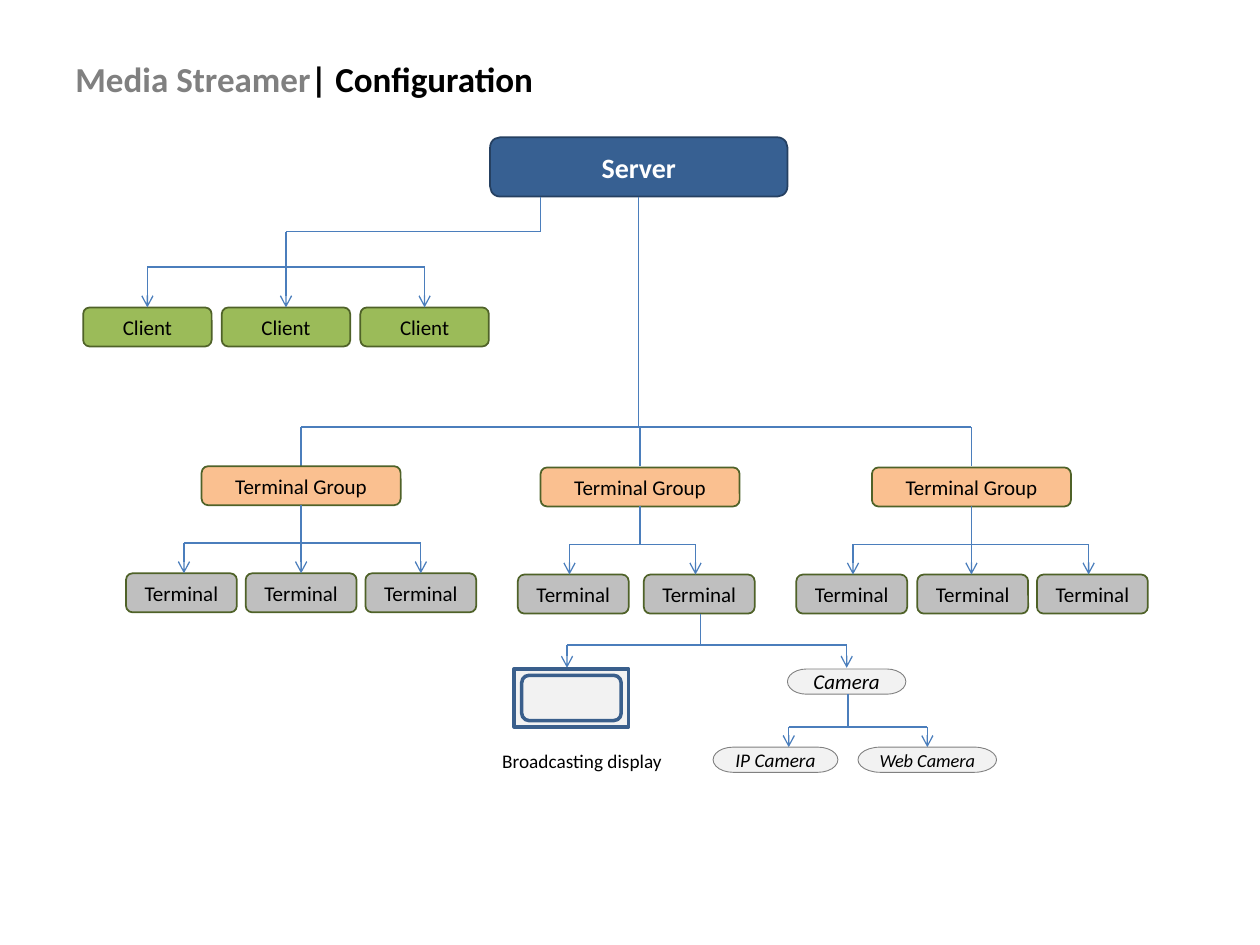
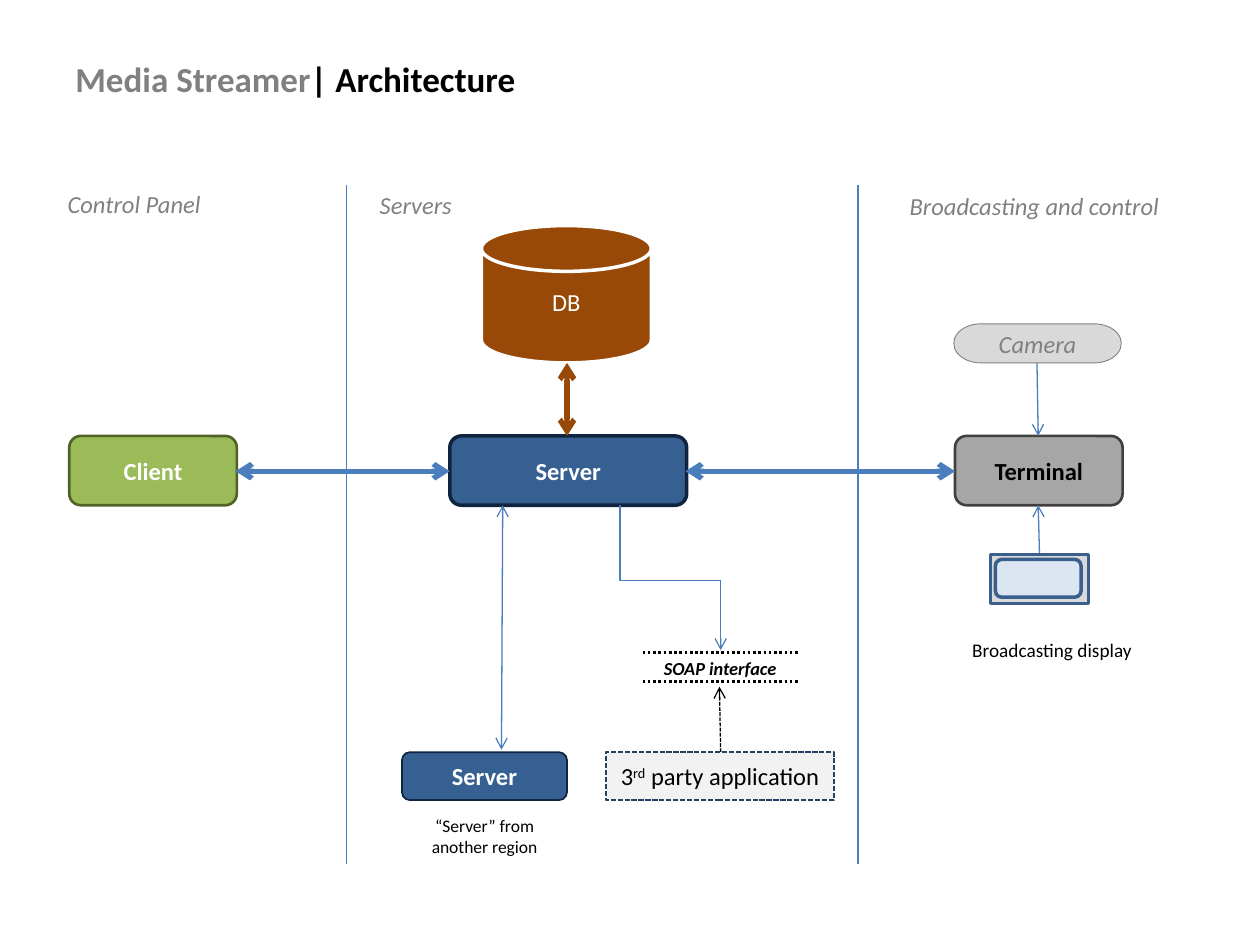
from lxml.etree import SubElement
from pptx import Presentation
from pptx.dml.color import RGBColor
from pptx.enum.dml import MSO_LINE
from pptx.enum.shapes import MSO_CONNECTOR, MSO_SHAPE
from pptx.enum.text import MSO_ANCHOR, PP_ALIGN
from pptx.oxml.ns import qn
from pptx.util import Emu, Pt

PX = 9144  # 100 px to the inch
FONT = "Calibri"
COLORS = {
    "white": "FFFFFF", "black": "000000", "grey": "808080", "line": "4B7EBC",
    "server": "376092", "server_edge": "254061", "navy": "0F243E",
    "client": "9BBB59", "green_edge": "4F6228", "group": "FAC090",
    "terminal": "BFBFBF", "steel": "A6A6A6", "steel_edge": "404040",
    "pale": "F2F2F2", "silver": "D9D9D9", "screen": "DCE6F2",
    "screen_edge": "3A5F8C", "database": "984807",
}


def color(name):
    return RGBColor.from_string(COLORS[name])


def emu(*lengths):
    return [Emu(length * PX) for length in lengths]


def write(shape, text, size=12, ink="black", bold=False, italic=False,
          align=PP_ALIGN.CENTER, anchor=MSO_ANCHOR.MIDDLE, spacing=None):
    """Text is a string, or a list of (string, ink, baseline) spans; newlines part paragraphs."""
    frame = shape.text_frame
    frame.word_wrap = False
    frame.vertical_anchor = anchor
    spans = text if isinstance(text, list) else [(text, ink, 0)]
    para = frame.paragraphs[0]
    for words, span_ink, baseline in spans:
        for number, part in enumerate(words.split("\n")):
            if number:
                para = frame.add_paragraph()
            para.alignment = align
            para.line_spacing = spacing
            span = para.add_run()
            span.text = part
            span.font.name, span.font.size = FONT, Pt(size)
            span.font.bold, span.font.italic = bold, italic
            span.font.color.rgb = color(span_ink)
            if baseline:
                span.font._element.set("baseline", str(baseline * 1000))


def add_label(page, box, text, anchor=MSO_ANCHOR.TOP, **style):
    label = page.shapes.add_textbox(*emu(*box))
    write(label, text, anchor=anchor, **style)


def add_box(page, box, text="", kind=MSO_SHAPE.ROUNDED_RECTANGLE, fill="pale",
            edge="green_edge", width=1, dash=None, **style):
    shape = page.shapes.add_shape(kind, *emu(*box))
    shape.shadow.inherit = False
    shape.fill.solid()
    shape.fill.fore_color.rgb = color(fill)
    shape.line.color.rgb = color(edge)
    shape.line.width = Pt(width)
    if dash:
        shape.line.dash_style = dash
    if text:
        write(shape, text, **style)


def add_line(page, start, end, ink="line", width=0.75, dash=None, head=False, tail=False):
    line = page.shapes.add_connector(MSO_CONNECTOR.STRAIGHT, *emu(*start, *end))
    line.line.color.rgb = color(ink)
    line.line.width = Pt(width)
    if dash:
        line.line.dash_style = dash
    outline = line.line._get_or_add_ln()
    for tag, wanted in (("a:headEnd", head), ("a:tailEnd", tail)):
        if wanted:
            SubElement(outline, qn(tag)).set("type", "arrow")
    SubElement(line._element.spPr, qn("a:effectLst"))


def add_tree(page, trunk, top, bus, drops, bottom, tail=True):
    """A trunk down to a level bar, with a drop to each child."""
    add_line(page, (trunk, top), (trunk, bus))
    add_line(page, (drops[0], bus), (drops[-1], bus))
    for drop in drops:
        add_line(page, (drop, bus), (drop, bottom), tail=tail)


def add_title(page, topic):
    add_label(page, (50, 30, 900, 64),
              [("Media Streamer", "grey", 0), (f"| {topic}", "black", 0)],
              size=20, bold=True, align=PP_ALIGN.LEFT, anchor=MSO_ANCHOR.MIDDLE)


def add_capsule(page, box, text, fill="pale", **style):
    add_box(page, box, text, kind=MSO_SHAPE.FLOWCHART_TERMINATOR, fill=fill,
            edge="grey", width=0.5, italic=True, **style)


def add_display(page, box, inset, frame, screen, caption):
    """A monitor: screen inside a frame, with its caption below."""
    left, top, width, height = box
    dx, dy, inner_width, inner_height = inset
    add_box(page, box, kind=MSO_SHAPE.RECTANGLE, fill=frame, edge="screen_edge", width=2)
    add_box(page, (left + dx, top + dy, inner_width, inner_height),
            fill=screen, edge="screen_edge", width=2)
    add_label(page, caption, "Broadcasting display", size=11)


# Configuration regions
def add_clients(page, left, top):
    for number in range(3):
        add_box(page, (left + 110 * number, top, 102, 31), "Client", fill="client")
    drops = [left + 51 + 110 * number for number in range(3)]
    middle, source = drops[1], left + 363
    add_line(page, (source, top - 88), (source, top - 60))
    add_line(page, (source, top - 60), (middle, top - 60))
    add_tree(page, middle, top - 60, top - 32, drops, top)


def add_terminal_group(page, left, top, trunk, step, drops):
    add_box(page, (trunk - 79, top, 158, 31), "Terminal Group", fill="group")
    for number in range(len(drops)):
        add_box(page, (left + round(step * number), top + 85, 88, 31),
                "Terminal", fill="terminal")
    add_tree(page, trunk, top + 31, top + 61, drops, top + 85)


def add_devices(page, left, top):
    add_tree(page, left + 148, top - 44, top - 19, [left + 42, left + 264], top - 1)
    add_display(page, (left, top, 91, 46), (6, 5, 79, 36), "pale", "pale",
                (left - 20, top + 59, 148, 29))
    add_capsule(page, (left + 217, top, 94, 20), "Camera")
    add_tree(page, left + 265, top + 20, top + 46, [left + 218, left + 328], top + 62)
    add_capsule(page, (left + 158, top + 62, 99, 20), "IP Camera", size=11)
    add_capsule(page, (left + 273, top + 62, 110, 20), "Web Camera", size=10.5)


def build_configuration(page):
    add_title(page, "Configuration")
    add_box(page, (389, 109, 236, 47), "Server", fill="server", edge="server_edge",
            size=16, ink="white", bold=True)
    add_clients(page, 66, 244)
    add_tree(page, 507, 156, 339, [239, 508, 771], 370, tail=False)
    for group in (
        (100, 370, 239, 95, [146, 239, 334]),
        (411, 371, 508, 100, [452, 552]),
        (632, 371, 771, 95.5, [677, 771, 864]),
    ):
        add_terminal_group(page, *group)
    add_devices(page, 408, 531)


# Architecture regions
def add_columns(page, top):
    for x in (275, 681):
        add_line(page, (x, top), (x, top + 539))
    for box, text in (
        ((40, top - 2, 133, 34), "Control Panel"),
        ((291, top - 1, 78, 34), "Servers"),
        ((711, top, 220, 34), "Broadcasting and control"),
    ):
        add_label(page, box, text, size=14, ink="grey", italic=True)


def add_main_row(page, top):
    for left, width, text, fill, edge, weight, ink in (
        (55, 133, "Client", "client", "green_edge", 1.5, "white"),
        (357, 188, "Server", "server", "navy", 2, "white"),
        (758, 133, "Terminal", "steel", "steel_edge", 1.5, "black"),
    ):
        add_box(page, (left, top, width, 55), text, fill=fill, edge=edge,
                width=weight, size=14, ink=ink, bold=True)
    for start, end in ((187, 357), (544, 758)):
        add_line(page, (start, top + 28), (end, top + 28), width=3, head=True, tail=True)


def add_database(page, left, top):
    add_box(page, (left, top, 135, 109), "DB", kind=MSO_SHAPE.FLOWCHART_MAGNETIC_DISK,
            fill="database", edge="white", width=2, size=14, ink="white", spacing=0.7)
    add_line(page, (left + 68, top + 109), (left + 68, top + 167), ink="database",
             width=3, head=True, tail=True)


def add_terminal_devices(page, left, top):
    add_capsule(page, (left, top, 133, 31), "Camera", fill="silver", size=14, ink="grey")
    add_line(page, (left + 66, top + 31), (left + 67, top + 89), tail=True)
    add_line(page, (left + 68, top + 183), (left + 67, top + 144), tail=True)
    add_display(page, (left + 29, top + 183, 78, 39), (4, 4, 68, 30), "silver", "screen",
                (left + 4, top + 245, 148, 29))


def add_remote_server(page, left, top):
    add_line(page, (left + 80, top - 196), (left + 79, top - 2), head=True, tail=True)
    add_box(page, (left, top, 131, 38), "Server", fill="server", edge="navy",
            size=14, ink="white", bold=True)
    add_label(page, (left + 11, top + 45, 109, 44), "“Server” from\nanother region", size=10)


def add_soap_interface(page, left, top):
    elbow, end = left + 11, left + 91
    add_line(page, (elbow, top - 196), (elbow, top - 136))
    add_line(page, (elbow, top - 136), (end, top - 136))
    add_line(page, (end, top - 136), (end, top - 81), tail=True)
    for y in (top - 79, top - 56):
        add_line(page, (left + 29, y), (left + 153, y), ink="black", width=1.5,
                 dash=MSO_LINE.ROUND_DOT)
    add_label(page, (left + 30, top - 80, 121, 28), "SOAP interface",
              size=10.5, bold=True, italic=True)
    add_line(page, (end, top), (end - 1, top - 52), ink="black",
             dash=MSO_LINE.SQUARE_DOT, tail=True)
    add_box(page, (left, top, 181, 38),
            [("3", "black", 0), ("rd", "black", 30), (" party application", "black", 0)],
            kind=MSO_SHAPE.RECTANGLE, edge="server_edge", dash=MSO_LINE.SQUARE_DOT, size=14)


def build_architecture(page):
    add_title(page, "Architecture")
    add_columns(page, 147)
    add_main_row(page, 346)
    add_database(page, 382, 179)
    add_terminal_devices(page, 757, 257)
    add_remote_server(page, 319, 597)
    add_soap_interface(page, 481, 597)


def main():
    deck = Presentation()
    deck.slide_width, deck.slide_height = emu(1000, 750)
    for build in (build_configuration, build_architecture):
        build(deck.slides.add_slide(deck.slide_layouts[6]))
    deck.save("out.pptx")


if __name__ == "__main__":
    main()
